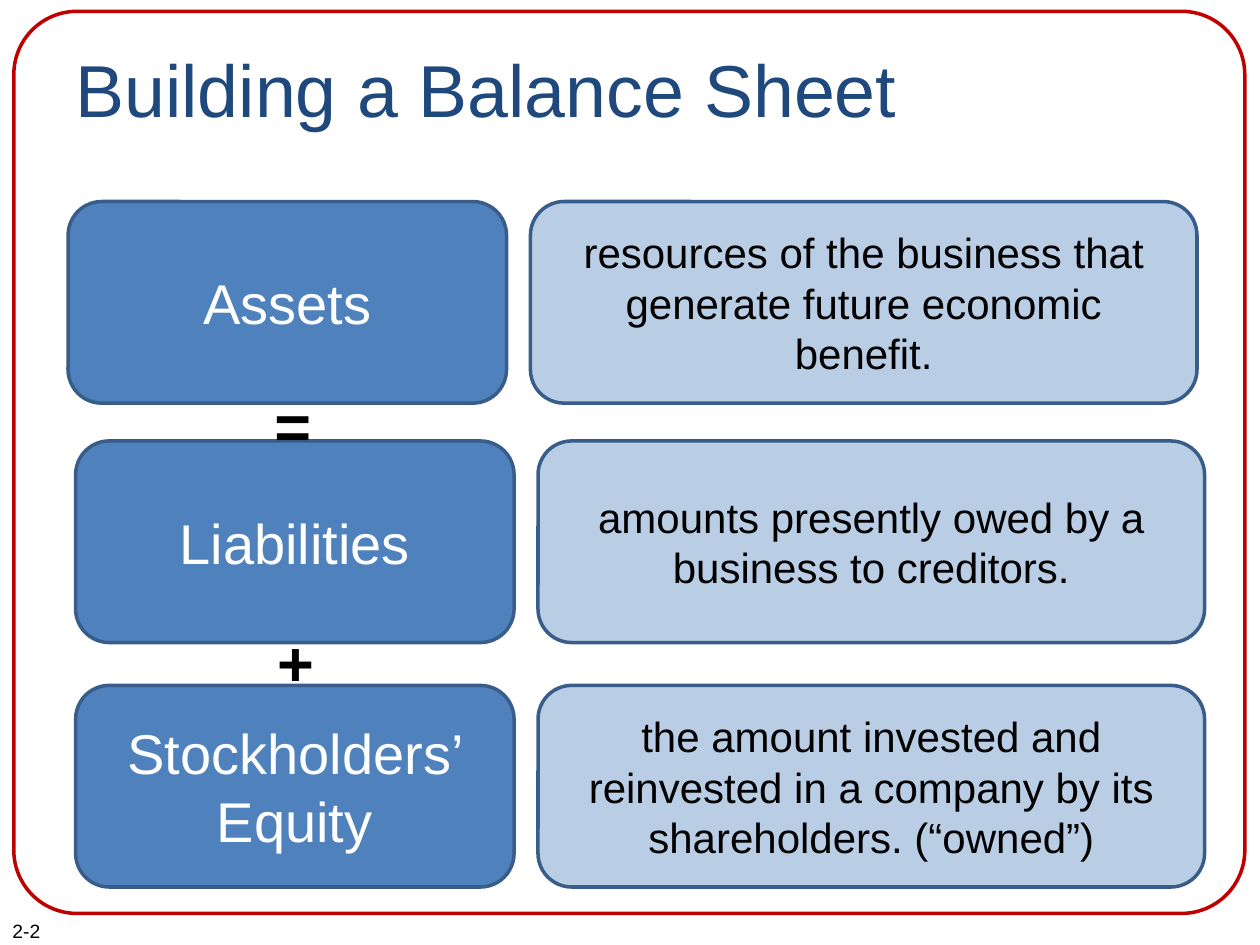
from pptx import Presentation
from pptx.dml.color import RGBColor
from pptx.enum.shapes import MSO_SHAPE
from pptx.enum.text import MSO_ANCHOR, PP_ALIGN
from pptx.util import Inches, Pt

COLORS = {
    "frame": "C00000",
    "title": "1F497D",
    "term": "4F81BD",
    "definition": "B9CDE5",
    "outline": "385D8A",
    "white": "FFFFFF",
    "black": "000000",
}

ROWS = [
    (0.54, 1.6, "Assets",
     "resources of the business that generate future economic benefit."),
    (0.6, 3.5, "Liabilities",
     "amounts presently owed by a business to creditors."),
    (0.6, 5.44, "Stockholders’ Equity",
     "the amount invested and reinvested in a company by its "
     "shareholders. (“owned”)"),
]
TERM_WIDTH = 3.48
DEFINITION_WIDTH = 5.29
ROW_HEIGHT = 1.6
COLUMN_STEP = 3.67


def color(name):
    return RGBColor.from_string(COLORS[name])


def write(shape, text, size, ink, align=PP_ALIGN.LEFT, bold=False):
    frame = shape.text_frame
    frame.word_wrap = True
    para = frame.paragraphs[0]
    para.text = text
    para.alignment = align
    para.font.name = "Arial"
    para.font.size = Pt(size)
    para.font.bold = bold
    para.font.color.rgb = color(ink)


def add_label(page, left, top, width, height, text, size, ink="black", **style):
    box = page.shapes.add_textbox(
        Inches(left), Inches(top), Inches(width), Inches(height))
    write(box, text, size, ink, **style)


def add_rounded(page, left, top, width, height, line, fill=None, corner=0.167):
    box = page.shapes.add_shape(
        MSO_SHAPE.ROUNDED_RECTANGLE,
        Inches(left), Inches(top), Inches(width), Inches(height))
    box.adjustments[0] = corner
    box.shadow.inherit = False
    box.line.color.rgb = color(line)
    box.line.width = Pt(2)
    if fill:
        box.fill.solid()
        box.fill.fore_color.rgb = color(fill)
    else:
        box.fill.background()
    return box


def add_card(page, left, top, width, fill, text, size, ink):
    card = add_rounded(page, left, top, width, ROW_HEIGHT, "outline", fill)
    card.text_frame.vertical_anchor = MSO_ANCHOR.MIDDLE
    write(card, text, size, ink, PP_ALIGN.CENTER)


def main():
    deck = Presentation()
    deck.slide_width = Inches(10)
    deck.slide_height = Inches(7.5)
    page = deck.slides.add_slide(deck.slide_layouts[6])

    add_rounded(page, 0.11, 0.09, 9.77, 7.16, "frame", corner=0.07)
    add_label(page, 0.5, 0.3, 9, 1.25, "Building a Balance Sheet", 42, "title")

    for left, top, term, definition in ROWS:
        add_card(page, left, top, TERM_WIDTH, "term", term, 32, "white")
        add_card(page, left + COLUMN_STEP, top, DEFINITION_WIDTH,
                 "definition", definition, 24, "black")

    for left, top, sign in [(1.66, 3.02, "="), (1.68, 4.9, "+")]:
        add_label(page, left, top, 1.33, 0.7, sign, 36,
                  align=PP_ALIGN.CENTER, bold=True)
    add_label(page, 0, 7.25, 0.69, 0.29, "2-2", 11)

    deck.save("out.pptx")


if __name__ == "__main__":
    main()
